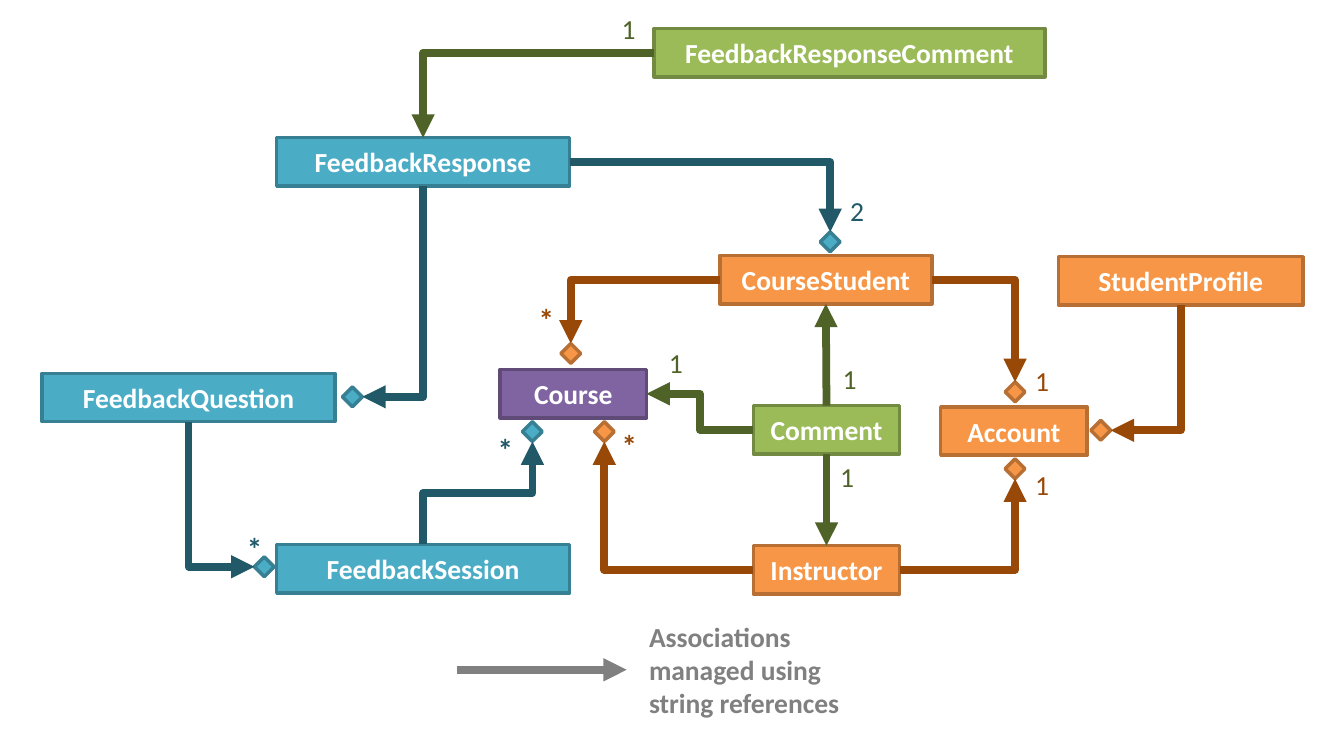
import pptx
import pptx.dml.color
import pptx.enum.shapes
import pptx.enum.text
import pptx.oxml.ns
import pptx.oxml.xmlchemy
import pptx.util

# Theme: each tone is (fill, outline, arrow and label colour)
THEME = {
    "font": "Calibri",
    "white": "FFFFFF",
    "grey": "808080",
    "text": 16,
    "star": 18,
    "outline": 2,
    "arrow": 4.5,
    "tones": {
        "orange": ("F79646", "B76F34", "984807"),
        "blue": ("4BACC6", "377F92", "215968"),
        "green": ("9BBB59", "738A42", "4F6228"),
        "purple": ("8064A2", "5F4A78", "5F4A78"),
    },
}

# Content, in px at 100 px to the inch
SCALE = 9144
SLIDE = (1083, 591)
BOX_HEIGHT = 39
DIAMOND = 16
TOP, LEFT, BOTTOM, RIGHT = range(4)

# name: left, top, width, tone
CLASSES = {
    "CourseStudent": (580, 206, 171, "orange"),
    "Course": (403, 298, 118, "purple"),
    "Account": (758, 328, 118, "orange"),
    "FeedbackSession": (223, 439, 236, "blue"),
    "FeedbackQuestion": (34, 301, 236, "blue"),
    "FeedbackResponse": (223, 111, 236, "blue"),
    "Comment": (607, 327, 118, "green"),
    "FeedbackResponseComment": (527, 23, 315, "green"),
    "StudentProfile": (853, 207, 197, "orange"),
    "Instructor": (607, 440, 118, "orange"),
}

# name: left, top, tone
DIAMONDS = {
    "student to course": (452, 277, "orange"),
    "instructor to course": (479, 340, "orange"),
    "session to course": (421, 340, "blue"),
    "student to account": (810, 308, "orange"),
    "instructor to account": (810, 370, "orange"),
    "profile to account": (879, 339, "orange"),
    "question to session": (205, 449, "blue"),
    "response to question": (276, 312, "blue"),
    "response to student": (661, 187, "blue"),
}

# begin, side, end, side, tone, route, end that bears the arrowhead
# A corner route leaves its begin horizontally and reaches its end vertically.
LINKS = [
    ("CourseStudent", LEFT, "student to course", TOP, "orange", "corner", "tail"),
    ("Instructor", LEFT, "instructor to course", BOTTOM, "orange", "corner", "tail"),
    ("CourseStudent", RIGHT, "student to account", TOP, "orange", "corner", "tail"),
    ("Instructor", RIGHT, "instructor to account", BOTTOM, "orange", "corner", "tail"),
    ("profile to account", RIGHT, "StudentProfile", BOTTOM, "orange", "corner", "head"),
    ("question to session", LEFT, "FeedbackQuestion", BOTTOM, "blue", "corner", "head"),
    ("response to question", RIGHT, "FeedbackResponse", BOTTOM, "blue", "corner", "head"),
    ("FeedbackResponse", RIGHT, "response to student", TOP, "blue", "corner", "tail"),
    ("FeedbackResponseComment", LEFT, "FeedbackResponse", TOP, "green", "corner", "tail"),
    ("session to course", BOTTOM, "FeedbackSession", TOP, "blue", "vertical step", "head"),
    ("Course", RIGHT, "Comment", LEFT, "green", "step", "head"),
    ("Comment", TOP, "CourseStudent", BOTTOM, "green", "straight", "tail"),
    ("Comment", BOTTOM, "Instructor", TOP, "green", "straight", "tail"),
]

# text, left, top, tone
MULTIPLICITIES = [
    ("1", 539, 281, "green"),
    ("*", 434, 246, "orange"),
    ("*", 501, 348, "orange"),
    ("1", 679, 294, "green"),
    ("1", 677, 373, "green"),
    ("1", 834, 296, "orange"),
    ("1", 834, 380, "orange"),
    ("*", 401, 351, "blue"),
    ("2", 685, 159, "blue"),
    ("*", 199, 431, "blue"),
    ("1", 501, 12, "green"),
]
LABEL_SIZE = (19, 22)

LEGEND = "Associations managed using string references"
LEGEND_BOX = (523, 529, 171, 22)
LEGEND_ARROW = (368, 540, 505, 540)

CONNECTOR = pptx.enum.shapes.MSO_CONNECTOR
SHAPE = pptx.enum.shapes.MSO_SHAPE
ALIGN = pptx.enum.text.PP_ALIGN


def emu(*lengths):
    return [pptx.util.Emu(length * SCALE) for length in lengths]


def rgb(value):
    return pptx.dml.color.RGBColor.from_string(value)


def write(shape, text, color, size=THEME["text"], bold=False, align=ALIGN.LEFT):
    frame = shape.text_frame
    frame.margin_left = frame.margin_top = frame.margin_right = frame.margin_bottom = 0
    frame.word_wrap = True
    frame.vertical_anchor = pptx.enum.text.MSO_ANCHOR.MIDDLE
    paragraph = frame.paragraphs[0]
    paragraph.alignment = align
    run = paragraph.add_run()
    run.text = text
    run.font.name = THEME["font"]
    run.font.size = pptx.util.Pt(size)
    run.font.bold = bold
    run.font.color.rgb = rgb(color)


def add_node(slide, preset, box, tone):
    shape = slide.shapes.add_shape(preset, *emu(*box))
    fill, outline, _ = THEME["tones"][tone]
    shape.shadow.inherit = False
    shape.fill.solid()
    shape.fill.fore_color.rgb = rgb(fill)
    shape.line.color.rgb = rgb(outline)
    shape.line.width = pptx.util.Pt(THEME["outline"])
    return shape


def style_arrow(connector, color, arrow_end):
    connector.line.color.rgb = rgb(color)
    connector.line.width = pptx.util.Pt(THEME["arrow"])
    properties = connector._element.spPr
    line = properties.find(pptx.oxml.ns.qn("a:ln"))
    arrowhead = pptx.oxml.xmlchemy.OxmlElement(f"a:{arrow_end}End")
    arrowhead.set("type", "triangle")
    line.append(arrowhead)
    properties.append(pptx.oxml.xmlchemy.OxmlElement("a:effectLst"))


def turn_vertical(connector):
    """Turn a step by 90 degrees so that it runs from top right to bottom left."""
    left, top = connector.left, connector.top
    across, down = connector.width, connector.height
    connector.left = left + (across - down) // 2
    connector.top = top + (down - across) // 2
    connector.width, connector.height = down, across
    transform = connector._element.spPr.find(pptx.oxml.ns.qn("a:xfrm"))
    transform.attrib.pop("flipH", None)
    transform.set("rot", "5400000")


def add_link(slide, begin, begin_side, end, end_side, route):
    kind = CONNECTOR.STRAIGHT if route == "straight" else CONNECTOR.ELBOW
    connector = slide.shapes.add_connector(kind, 0, 0, 0, 0)
    connector.begin_connect(begin, begin_side)
    connector.end_connect(end, end_side)
    if route == "corner":
        geometry = connector._element.spPr.find(pptx.oxml.ns.qn("a:prstGeom"))
        geometry.set("prst", "bentConnector2")
    elif route == "vertical step":
        turn_vertical(connector)
    return connector


def main():
    presentation = pptx.Presentation()
    presentation.slide_width, presentation.slide_height = emu(*SLIDE)
    slide = presentation.slides.add_slide(presentation.slide_layouts[6])
    nodes = {}

    # Classes and diamonds
    for name, (left, top, width, tone) in CLASSES.items():
        nodes[name] = add_node(slide, SHAPE.RECTANGLE, (left, top, width, BOX_HEIGHT), tone)
        write(nodes[name], name, THEME["white"], bold=True, align=ALIGN.CENTER)
    for name, (left, top, tone) in DIAMONDS.items():
        nodes[name] = add_node(slide, SHAPE.DIAMOND, (left, top, DIAMOND, DIAMOND), tone)

    # Associations
    for begin, begin_side, end, end_side, tone, route, arrow_end in LINKS:
        connector = add_link(slide, nodes[begin], begin_side, nodes[end], end_side, route)
        style_arrow(connector, THEME["tones"][tone][2], arrow_end)

    # Multiplicities
    for text, left, top, tone in MULTIPLICITIES:
        label = slide.shapes.add_textbox(*emu(left, top, *LABEL_SIZE))
        star = text == "*"
        size = THEME["star"] if star else THEME["text"]
        write(label, text, THEME["tones"][tone][2], size=size, bold=star)

    # Legend
    arrow = slide.shapes.add_connector(CONNECTOR.STRAIGHT, *emu(*LEGEND_ARROW))
    style_arrow(arrow, THEME["grey"], "tail")
    write(slide.shapes.add_textbox(*emu(*LEGEND_BOX)), LEGEND, THEME["grey"], bold=True)

    presentation.save("out.pptx")


if __name__ == "__main__":
    main()
